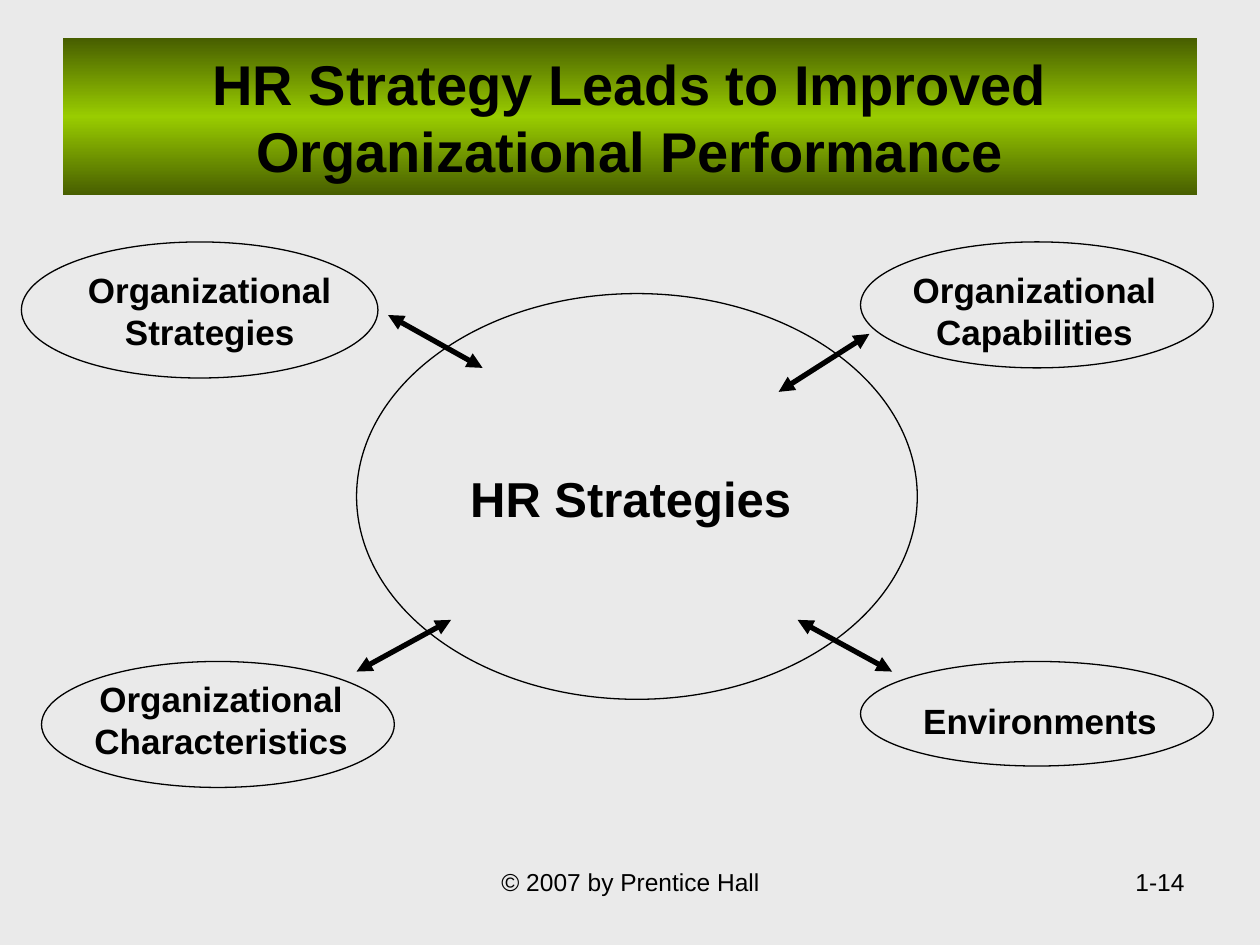
from copy import deepcopy
from dataclasses import dataclass

from lxml import etree
from pptx import Presentation
from pptx import util as u
from pptx.dml.color import RGBColor
from pptx.enum import shapes, text
from pptx.oxml.ns import qn


@dataclass(frozen=True)
class Theme:
    """Colours, font and type sizes of the slide."""
    paper: RGBColor = RGBColor(0xEA, 0xEA, 0xEA)
    ink: RGBColor = RGBColor(0, 0, 0)
    dark_green: RGBColor = RGBColor(0x47, 0x5E, 0x00)
    green: RGBColor = RGBColor(0x99, 0xCC, 0x00)
    font: str = "Arial"
    title: int = 32
    hub: int = 28
    factor: int = 20
    footer: int = 14
    outline: float = 0.75
    arrow: int = 3


THEME = Theme()

FACTORS = [
    ("Organizational Strategies", (0.17, 1.92, 2.83, 1.08), (0.33, 2.08, 2.67, 0.77)),
    ("Organizational Characteristics", (0.33, 5.25, 2.8, 1), (0.42, 5.33, 2.67, 0.77)),
    ("Environments", (6.83, 5.25, 2.8, 0.83), (6.92, 5.5, 2.67, 0.44)),
    ("Organizational Capabilities", (6.83, 1.92, 2.8, 1), (6.75, 2.08, 2.92, 0.77)),
]
LINKS = [
    (3.08, 2.5, 3.83, 2.92),
    (6.9, 2.65, 6.18, 3.11),
    (2.83, 5.33, 3.58, 4.92),
    (7.08, 5.33, 6.33, 4.92),
]


def inches(values):
    """Turn numbers into lengths."""
    return [u.Inches(value) for value in values]


def write(frame, words, size, bold=False, align=text.PP_ALIGN.CENTER,
          anchor=text.MSO_ANCHOR.TOP):
    """Put formatted words into a text frame."""
    frame.word_wrap = True
    frame.auto_size = text.MSO_AUTO_SIZE.NONE
    frame.vertical_anchor = anchor
    paragraph = frame.paragraphs[0]
    paragraph.alignment = align
    run = paragraph.add_run()
    run.text = words
    run.font.name = THEME.font
    run.font.size = u.Pt(size)
    run.font.bold = bold
    run.font.color.rgb = THEME.ink


def add_label(slide, box, words, size, **style):
    """Add a text box with formatted words."""
    label = slide.shapes.add_textbox(*inches(box))
    write(label.text_frame, words, size, **style)


def add_banner(slide, box, words):
    """Place the title on a green band that is lightest in the middle."""
    banner = slide.shapes.title
    banner.left, banner.top, banner.width, banner.height = inches(box)
    banner.fill.gradient()
    banner.fill.gradient_angle = 90
    stops = banner.element.spPr.find(qn("a:gradFill")).find(qn("a:gsLst"))
    stops.append(deepcopy(stops[0]))
    colours = (THEME.dark_green, THEME.green, THEME.dark_green)
    for index, (stop, colour) in enumerate(zip(banner.fill.gradient_stops, colours)):
        stop.position = index / 2
        stop.color.rgb = colour
    write(banner.text_frame, words, THEME.title, bold=True,
          anchor=text.MSO_ANCHOR.MIDDLE)


def add_node(slide, box, label_box, words, size):
    """Add an outlined ellipse and its label."""
    ellipse = slide.shapes.add_shape(shapes.MSO_SHAPE.OVAL, *inches(box))
    ellipse.shadow.inherit = False
    ellipse.fill.background()
    ellipse.line.color.rgb = THEME.ink
    ellipse.line.width = u.Pt(THEME.outline)
    add_label(slide, label_box, words, size, bold=True)


def add_link(slide, ends):
    """Add a line with an arrowhead at both ends."""
    link = slide.shapes.add_connector(shapes.MSO_CONNECTOR.STRAIGHT, *inches(ends))
    link.line.color.rgb = THEME.ink
    link.line.width = u.Pt(THEME.arrow)
    outline = link.element.spPr.find(qn("a:ln"))
    for end in ("a:headEnd", "a:tailEnd"):
        etree.SubElement(outline, qn(end), type="triangle")
    etree.SubElement(link.element.spPr, qn("a:effectLst"))


def add_diagram(slide):
    """Draw the hub, the four factors and the links between them."""
    add_node(slide, (2.83, 2.33, 4.45, 3.22), (3.42, 3.67, 3.17, 0.57),
             "HR Strategies", THEME.hub)
    for words, box, label_box in FACTORS:
        add_node(slide, box, label_box, words, THEME.factor)
    for ends in LINKS:
        add_link(slide, ends)


def add_footer(slide, top, height):
    """Add the copyright line and the page number."""
    add_label(slide, (3.42, top, 3.17, height), "© 2007 by Prentice Hall",
              THEME.footer)
    add_label(slide, (7.17, top, 2.33, height), "1-14", THEME.footer,
              align=text.PP_ALIGN.RIGHT)


def main():
    """Build and save the slide."""
    deck = Presentation()
    deck.slide_width, deck.slide_height = inches((10, 7.5))
    slide = deck.slides.add_slide(deck.slide_layouts.get_by_name("Title Only"))
    slide.background.fill.solid()
    slide.background.fill.fore_color.rgb = THEME.paper
    add_footer(slide, 6.83, 0.52)
    add_banner(slide, (0.5, 0.3, 9, 1.25),
               "HR Strategy Leads to Improved Organizational Performance")
    add_diagram(slide)
    deck.save("out.pptx")


if __name__ == "__main__":
    main()
